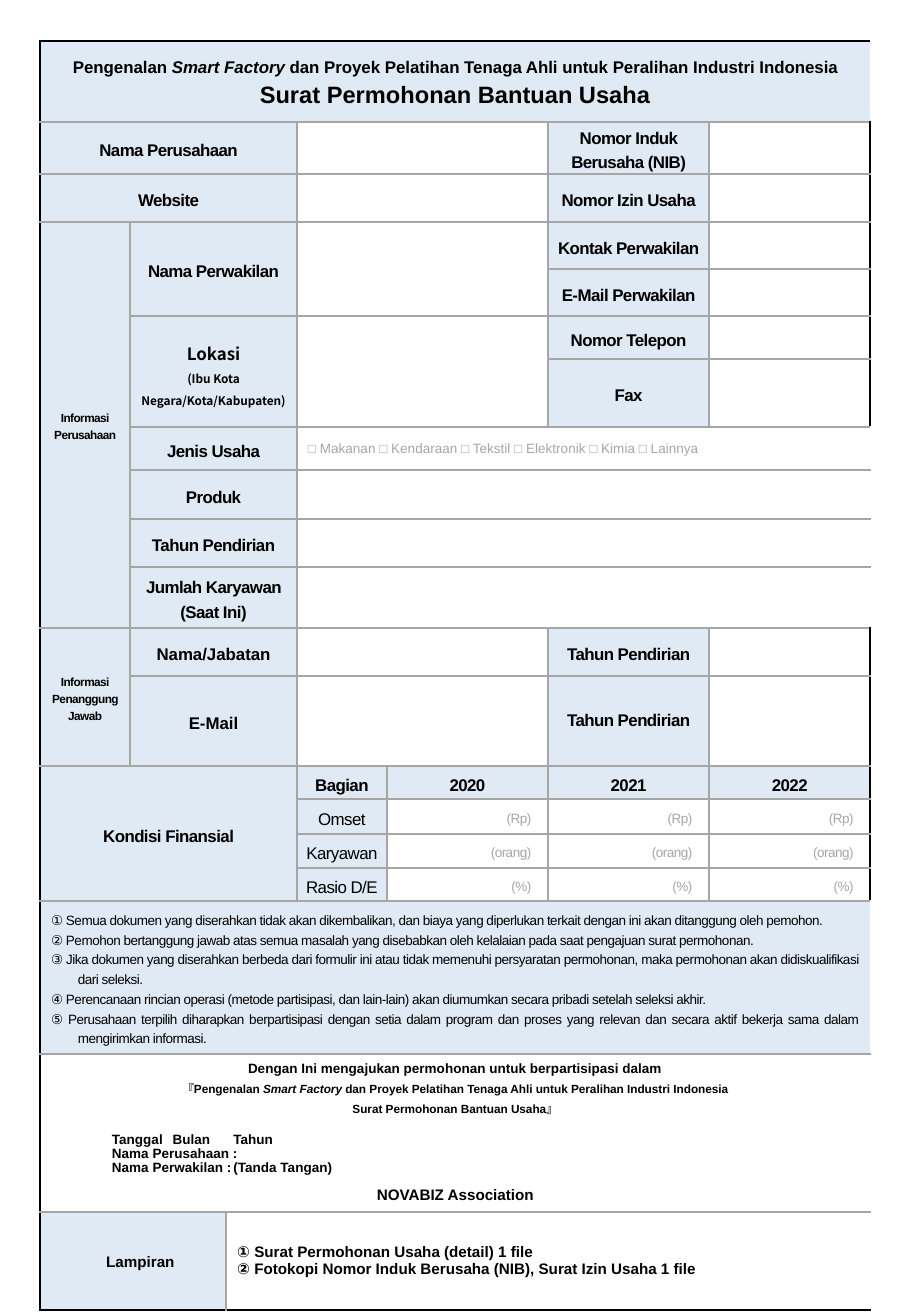
"""Build the Indonesian business support application form as one table slide."""
import dataclasses
import typing

import pptx
import pptx.dml.color
import pptx.enum.text
import pptx.oxml.ns
import pptx.table
import pptx.util
from lxml import etree

Cm, Pt = pptx.util.Cm, pptx.util.Pt
ALIGN, ANCHOR = pptx.enum.text.PP_ALIGN, pptx.enum.text.MSO_ANCHOR
BLACK, GREY, PALE, WHITE = "000000", "A6A6A6", "DFEAF5", "FFFFFF"
COLUMN_WIDTHS = [1.88, 2.01, 1.48, 1.88, 3.37, 3.37, 3.37]
ROW_HEIGHTS = [1.7, 1.07, 1.01, 0.98, 0.98, 0.9, 1.42, 0.9, 1.02, 1, 1.28, 1,
               1.88, 0.7, 0.73, 0.7, 0.7, 3.2, 3.3, 2.05]
LAST_ROW, LAST_COLUMN = len(ROW_HEIGHTS) - 1, len(COLUMN_WIDTHS) - 1
WIDE, TIGHT, UNIT_PAD = (0.23, 0.13, 0.23), (0.03, 0.03, 0.03), (0.03, 0.03, 0.35)


@dataclasses.dataclass
class Line:
    """One paragraph; text between asterisks is italic."""
    text: str
    style: dict[str, typing.Any] = dataclasses.field(default_factory=dict)


@dataclasses.dataclass
class Field:
    """One form cell with its span, fill, margins and lines."""
    row: int
    column: int
    lines: list[Line] = dataclasses.field(default_factory=list)
    rows: int = 1
    columns: int = 1
    fill: str = WHITE
    pad: tuple[float, float, float] = TIGHT


def rgb(colour: str) -> pptx.dml.color.RGBColor:
    """Turn a hex string into a colour."""
    return pptx.dml.color.RGBColor.from_string(colour)


def write_text(paragraph, text: str, *, size: float = 10, bold: bool = True,
               colour: str = BLACK, font: str = "Arial", tracking: float = 0,
               align=ALIGN.CENTER, spacing: float = 1.3, before: float = 0,
               left: float = 0, first: float = 0, tabs: tuple[float, ...] = ()) -> None:
    """Write one formatted paragraph."""
    paragraph.alignment = align
    paragraph.line_spacing = spacing
    paragraph.space_before = Pt(before)
    properties = paragraph._p.get_or_add_pPr()
    properties.set("marL", str(Cm(left)))
    properties.set("indent", str(Cm(first)))
    if tabs:
        stops = etree.SubElement(properties, pptx.oxml.ns.qn("a:tabLst"))
        for stop in tabs:
            etree.SubElement(stops, pptx.oxml.ns.qn("a:tab"), pos=str(Cm(stop)), algn="l")
    for index, part in enumerate(text.split("*")):
        run = paragraph.add_run()
        run.text = part
        run.font.size, run.font.name = Pt(size), font
        run.font.bold, run.font.italic = bold, index % 2 == 1
        run.font.color.rgb = rgb(colour)
        run._r.get_or_add_rPr().set("spc", str(round(tracking * 100)))


def draw_border(cell: pptx.table._Cell, side: str, colour: str) -> None:
    """Add one solid border to a cell."""
    border = etree.SubElement(cell._tc.get_or_add_tcPr(),
                              pptx.oxml.ns.qn(f"a:ln{side}"), w=str(Pt(1.5)))
    solid = etree.SubElement(border, pptx.oxml.ns.qn("a:solidFill"))
    etree.SubElement(solid, pptx.oxml.ns.qn("a:srgbClr"), val=colour)


def draw_field(form: pptx.table.Table, field: Field) -> None:
    """Merge, border, fill and write one field."""
    bottom, right = field.row + field.rows - 1, field.column + field.columns - 1
    cell = form.cell(field.row, field.column)
    if field.rows * field.columns > 1:
        cell.merge(form.cell(bottom, right))
    for row in range(field.row, bottom + 1):
        for column in range(field.column, right + 1):
            part = form.cell(row, column)
            for side, place, edge, limit in (
                    ("L", column, field.column, 0), ("R", column, right, LAST_COLUMN),
                    ("T", row, field.row, 0), ("B", row, bottom, LAST_ROW)):
                if place == edge:
                    draw_border(part, side, BLACK if edge == limit else GREY)
            part.fill.solid()
            part.fill.fore_color.rgb = rgb(field.fill)
    cell.vertical_anchor = ANCHOR.MIDDLE
    cell.margin_left, cell.margin_right = Cm(field.pad[0]), Cm(field.pad[2])
    cell.margin_top = cell.margin_bottom = Cm(field.pad[1])
    for index, line in enumerate(field.lines):
        frame = cell.text_frame
        paragraph = frame.add_paragraph() if index else frame.paragraphs[0]
        write_text(paragraph, line.text, **line.style)


def label(row: int, column: int, text: str, rows: int = 1, columns: int = 1,
          pad: tuple[float, float, float] = WIDE, **style: typing.Any) -> Field:
    """Describe a shaded label, one paragraph per text line."""
    lines = [Line(part, {"tracking": -0.3, **style}) for part in text.split("\n")]
    return Field(row, column, lines, rows, columns, PALE, pad)


title = Field(0, 0, [
    Line("Pengenalan *Smart Factory* dan Proyek Pelatihan Tenaga Ahli untuk "
         "Peralihan Industri Indonesia", {"spacing": 1.2}),
    Line("Surat Permohonan Bantuan Usaha", {"size": 14, "spacing": 1.2}),
], columns=7, fill=PALE, pad=WIDE)

noto = {"font": "Noto Sans CJK KR"}
location = Field(5, 1, [Line("Lokasi", noto),
                        Line("(Ibu Kota Negara/Kota/Kabupaten)", {**noto, "size": 7})],
                 2, 2, PALE, WIDE)
business_types = Field(7, 3, [Line(
    "□ Makanan □ Kendaraan □ Tekstil □ Elektronik □ Kimia □ Lainnya",
    {"size": 8, "bold": False, "colour": GREY, "align": ALIGN.LEFT, "spacing": 1})],
    columns=4, pad=WIDE)

fields = [
    title, location, business_types,
    label(1, 0, "Nama Perusahaan", columns=3),
    label(2, 0, "Website", columns=3),
    label(3, 0, "Informasi\nPerusahaan", rows=8, size=7),
    label(3, 1, "Nama Perwakilan", rows=2, columns=2),
    label(7, 1, "Jenis Usaha", columns=2),
    label(8, 1, "Produk", columns=2),
    label(9, 1, "Tahun Pendirian", columns=2),
    label(10, 1, "Jumlah Karyawan (Saat Ini)", columns=2),
    label(11, 0, "Informasi\nPenanggung Jawab", rows=2, size=7),
    label(11, 1, "Nama/Jabatan", columns=2, tracking=0),
    label(12, 1, "E-Mail", columns=2, tracking=0),
    label(11, 5, "Tahun Pendirian"),
    label(12, 5, "Tahun Pendirian", spacing=1),
    label(13, 0, "Kondisi Finansial", rows=4, columns=3),
    label(19, 0, "Lampiran", columns=2, size=9, spacing=1.1, before=3, left=0.3, tracking=0),
]
contacts = ["Nomor Induk Berusaha (NIB)", "Nomor Izin Usaha", "Kontak Perwakilan",
            "E-Mail Perwakilan", "Nomor Telepon", "Fax"]
fields += [label(row, 5, text, pad=TIGHT) for row, text in enumerate(contacts, 1)]
fields += [Field(row, 3, rows=rows, columns=columns) for row, rows, columns in (
    (1, 1, 2), (2, 1, 2), (3, 2, 2), (5, 2, 2), (8, 1, 4), (9, 1, 4), (10, 1, 4),
    (11, 1, 2), (12, 1, 2))]

fields += [label(13, column, text, pad=TIGHT)
           for column, text in enumerate(["Bagian", "2020", "2021", "2022"], 3)]
measures = [("Omset", "(Rp)"), ("Karyawan", "(orang)"), ("Rasio D/E", "(%)")]
for row, (measure, unit) in enumerate(measures, 14):
    fields.append(label(row, 3, measure, pad=TIGHT, bold=False))
    unit_line = Line(unit, {"size": 8, "bold": False, "colour": GREY,
                            "tracking": -0.3, "align": ALIGN.RIGHT})
    fields += [Field(row, column, [unit_line], pad=UNIT_PAD) for column in (4, 5, 6)]

terms = """① Semua dokumen yang diserahkan tidak akan dikembalikan, dan biaya yang diperlukan terkait dengan ini akan ditanggung oleh pemohon.
② Pemohon bertanggung jawab atas semua masalah yang disebabkan oleh kelalaian pada saat pengajuan surat permohonan.
③ Jika dokumen yang diserahkan berbeda dari formulir ini atau tidak memenuhi persyaratan permohonan, maka permohonan akan didiskualifikasi dari seleksi.
④ Perencanaan rincian operasi (metode partisipasi, dan lain-lain) akan diumumkan secara pribadi setelah seleksi akhir.
⑤ Perusahaan terpilih diharapkan berpartisipasi dengan setia dalam program dan proses yang relevan dan secara aktif bekerja sama dalam mengirimkan informasi."""
fields.append(label(17, 0, terms, columns=7, size=8, bold=False,
                    align=ALIGN.JUSTIFY, left=0.56, first=-0.56))

pledge = {"size": 7, "spacing": 0.9, "before": 3}
signature = {"size": 8, "spacing": 0.9, "align": ALIGN.LEFT}
fields.append(Field(18, 0, [
    Line("Dengan Ini mengajukan permohonan untuk berpartisipasi dalam", {**pledge, "size": 8}),
    Line("『Pengenalan *Smart Factory* dan Proyek Pelatihan Tenaga Ahli untuk "
         "Peralihan Industri Indonesia", pledge),
    Line("Surat Permohonan Bantuan Usaha』", pledge),
    Line("\tTanggal\tBulan\tTahun", {**signature, "before": 10, "tabs": (6.76, 8.2, 9.22)}),
    Line("\tNama Perusahaan :", {**signature, "tabs": (9.73,)}),
    Line("\tNama Perwakilan :\t(Tanda Tangan)", {**signature, "tabs": (9.55, 13.18)}),
    Line("NOVABIZ Association", {"size": 9, "spacing": 0.9, "before": 8}),
], columns=7, pad=WIDE))

attachment = {"size": 9, "spacing": 1, "align": ALIGN.LEFT}
fields.append(Field(19, 2, [
    Line("① Surat Permohonan Usaha (detail) 1 file", attachment),
    Line("② Fotokopi Nomor Induk Berusaha (NIB), Surat Izin Usaha 1 file", attachment),
], columns=5, pad=WIDE))
fields += [Field(row, 6) for row in (1, 2, 3, 4, 5, 6, 11, 12)]

presentation = pptx.Presentation()
presentation.slide_width, presentation.slide_height = Cm(19.05), Cm(27.51)
slide = presentation.slides.add_slide(presentation.slide_layouts[6])
form = slide.shapes.add_table(
    len(ROW_HEIGHTS), len(COLUMN_WIDTHS), Cm(0.84), Cm(0.85),
    Cm(sum(COLUMN_WIDTHS)), Cm(sum(ROW_HEIGHTS))).table
form.first_row = form.horz_banding = False
for form_column, width in zip(form.columns, COLUMN_WIDTHS):
    form_column.width = Cm(width)
for form_row, height in zip(form.rows, ROW_HEIGHTS):
    form_row.height = Cm(height)
for form_field in fields:
    draw_field(form, form_field)
presentation.save("out.pptx")
